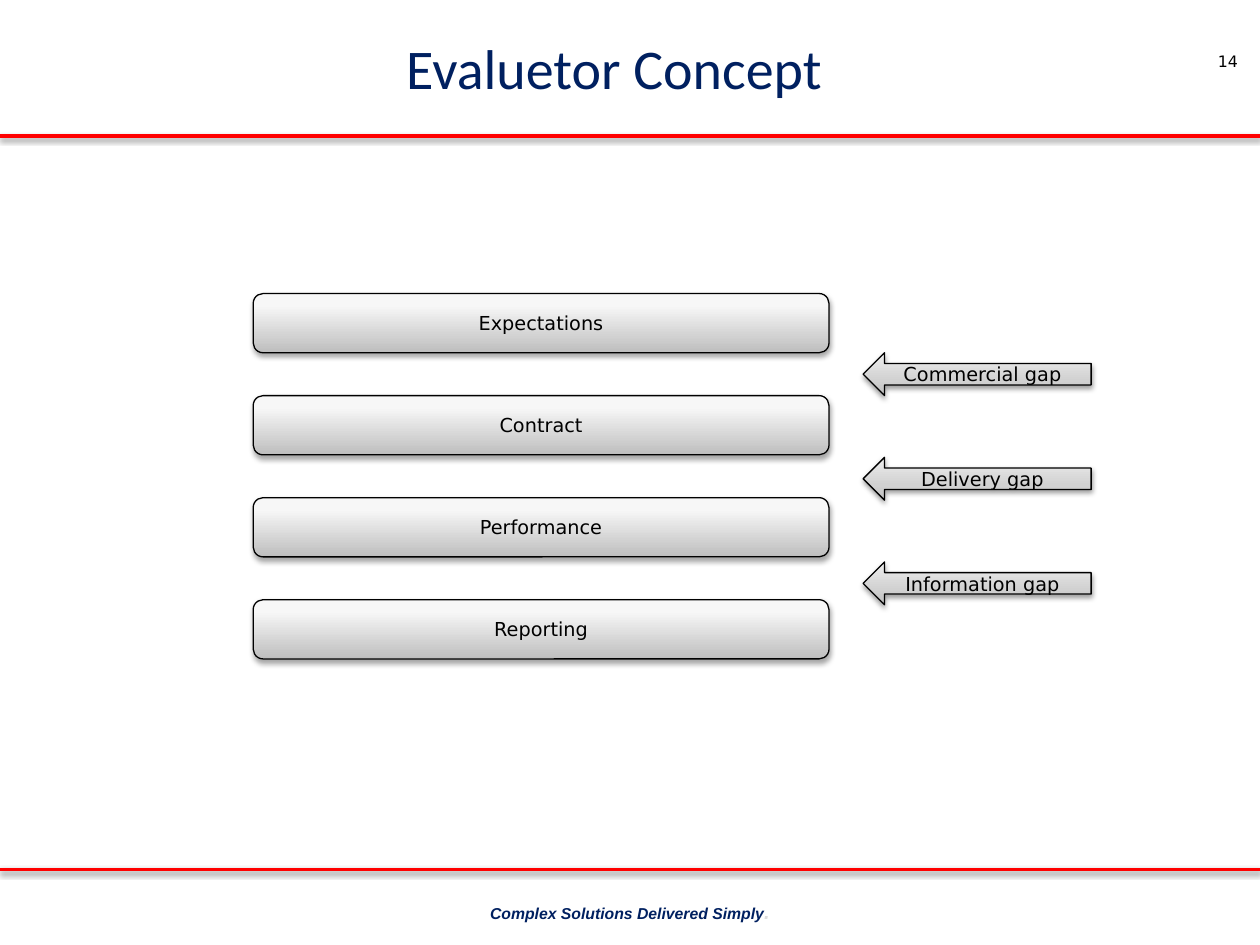
import pptx
import pptx.dml.color
import pptx.enum.shapes
import pptx.enum.text
import pptx.oxml
import pptx.oxml.ns
import pptx.util
from pptx.util import Inches

TITLE = "Evaluetor Concept"
PAGE_NUMBER = "14"
TAGLINE = "Complex Solutions Delivered Simply"
STAGES = ["Expectations", "Contract", "Performance", "Reporting"]
GAPS = ["Commercial gap", "Delivery gap", "Information gap"]

COLORS = {"navy": "002060", "red": "FF0000", "black": "000000", "pale": "DDDDDD"}
# Gradient stops run from the bottom edge to the top: (percent, colour)
STAGE_STOPS = [(0, "BEBEBE"), (80, "F7F7F7"), (100, "F8F8F8")]
GAP_STOPS = [(0, "BDBDBD"), (35, "D1D1D1"), (100, "EEEEEE")]
BODY_FONT = "DejaVu Sans"
RULE_TOPS = [1.08, 6.9]

SHAPES = pptx.enum.shapes.MSO_SHAPE
MIDDLE = pptx.enum.text.MSO_ANCHOR.MIDDLE


def rgb(name):
    return pptx.dml.color.RGBColor.from_string(COLORS[name])


def add_span(para, text, size=11, font=BODY_FONT, color="black", bold=False, italic=False):
    span = para.add_run()
    span.text = text
    span.font.size = pptx.util.Pt(size)
    span.font.name = font
    span.font.bold = bold
    span.font.italic = italic
    span.font.color.rgb = rgb(color)


def write(shape, text, anchor=MIDDLE, **style):
    """Put one centred paragraph in the shape and return it."""
    frame = shape.text_frame
    frame.word_wrap = True
    frame.vertical_anchor = anchor
    para = frame.paragraphs[0]
    para.alignment = pptx.enum.text.PP_ALIGN.CENTER
    add_span(para, text, **style)
    return para


def add_text(page, text, left, top, width, height, **style):
    box = page.shapes.add_textbox(*map(Inches, (left, top, width, height)))
    return write(box, text, **style)


def add_shadow(shape, alpha=38, distance=1.6):
    """Drop a soft shadow straight down; call after fill and line are set."""
    point = pptx.util.Pt
    shape._element.spPr.append(pptx.oxml.parse_xml(
        f'<a:effectLst {pptx.oxml.ns.nsdecls("a")}>'
        f'<a:outerShdw blurRad="{point(3.1)}" dist="{point(distance)}" dir="5400000" rotWithShape="0">'
        f'<a:srgbClr val="{COLORS["black"]}"><a:alpha val="{alpha * 1000}"/></a:srgbClr>'
        '</a:outerShdw></a:effectLst>'))


def fill_gradient(shape, stops):
    shape.fill.gradient()
    shape.fill.gradient_angle = 90
    stop_list = shape._element.spPr.find(".//" + pptx.oxml.ns.qn("a:gsLst"))
    for old_stop in list(stop_list):
        stop_list.remove(old_stop)
    for percent, color in stops:
        stop_list.append(pptx.oxml.parse_xml(
            f'<a:gs {pptx.oxml.ns.nsdecls("a")} pos="{percent * 1000}">'
            f'<a:srgbClr val="{color}"/></a:gs>'))


def add_column(page, kind, labels, left, top, width, height, pitch, stops, **shadow):
    """Stack one labelled shape per label, pitch inches apart."""
    for row, label in enumerate(labels):
        shape = page.shapes.add_shape(
            kind, *map(Inches, (left, top + row * pitch, width, height)))
        fill_gradient(shape, stops)
        shape.line.color.rgb = rgb("black")
        shape.line.width = pptx.util.Pt(0.75)
        add_shadow(shape, **shadow)
        write(shape, label)


def add_rule(page, top):
    rule = page.shapes.add_connector(
        pptx.enum.shapes.MSO_CONNECTOR.STRAIGHT, 0, Inches(top), Inches(10), Inches(top))
    rule.line.color.rgb = rgb("red")
    rule.line.width = pptx.util.Pt(2)
    add_shadow(rule)


def main():
    deck = pptx.Presentation()
    deck.slide_width, deck.slide_height = Inches(10), Inches(7.5)
    page = deck.slides.add_slide(deck.slide_layouts[6])

    for top in RULE_TOPS:
        add_rule(page, top)
    tagline = add_text(page, TAGLINE, 1.61, 7.12, 6.78, 0.25,
                       size=9, font="Arial", color="navy", bold=True, italic=True)
    add_span(tagline, ".", size=9, color="pale", bold=True, italic=True)
    add_text(page, PAGE_NUMBER, 9.49, 0.36, 0.51, 0.39, size=9,
             anchor=pptx.enum.text.MSO_ANCHOR.TOP)
    add_text(page, TITLE, 0.26, 0.1, 9.23, 0.86, size=32, font="Calibri", color="navy")

    add_column(page, SHAPES.ROUNDED_RECTANGLE, STAGES, 2.01, 2.33, 4.57, 0.47,
               pitch=0.81, stops=STAGE_STOPS, alpha=35, distance=1.8)
    add_column(page, SHAPES.LEFT_ARROW, GAPS, 6.85, 2.8, 1.81, 0.34,
               pitch=0.83, stops=GAP_STOPS)
    deck.save("out.pptx")


if __name__ == "__main__":
    main()
